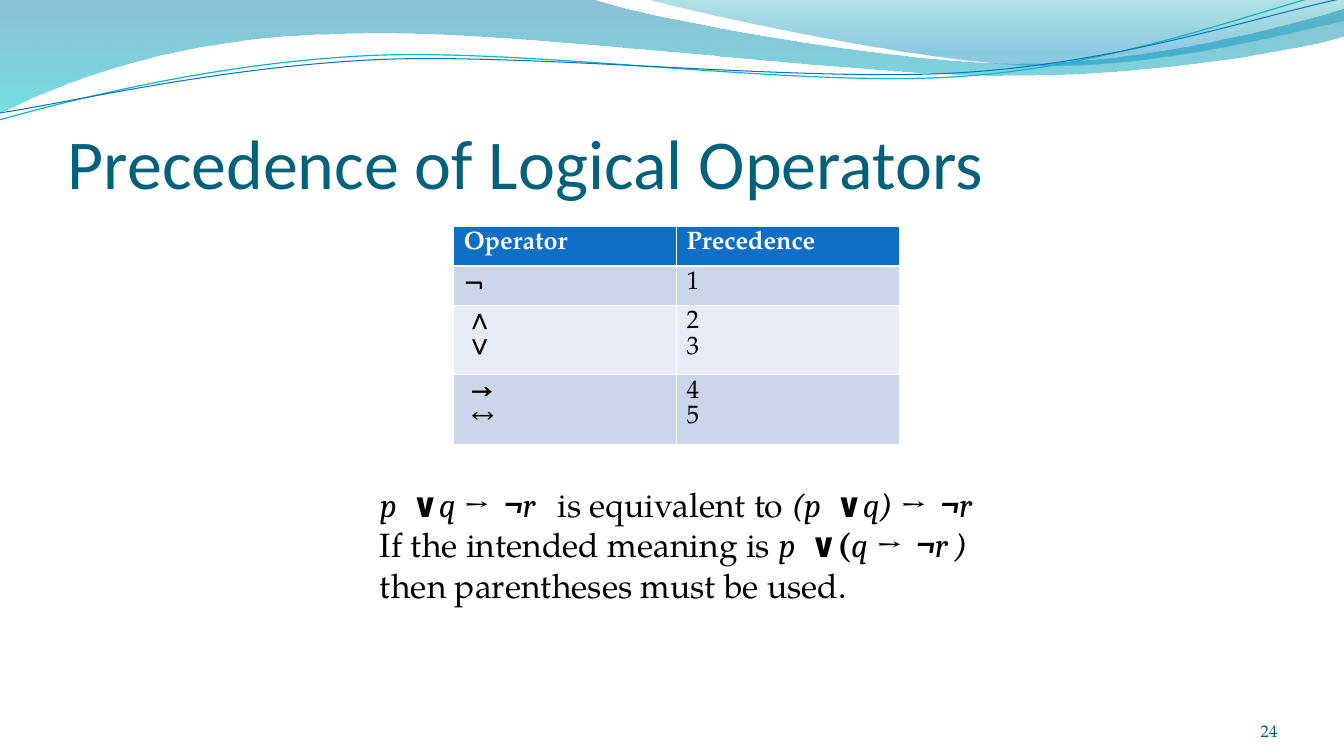
"""Build the slide on precedence of logical operators."""
from pptx import Presentation
from pptx.dml.color import RGBColor
from pptx.enum.text import MSO_ANCHOR, MSO_AUTO_SIZE, PP_ALIGN
from pptx.oxml.ns import qn
from pptx.util import Inches, Pt
from lxml import etree

BOTTOM = MSO_ANCHOR.BOTTOM
LEFT, RIGHT = PP_ALIGN.LEFT, PP_ALIGN.RIGHT
FIXED = MSO_AUTO_SIZE.NONE
SERIF, MATH, SANS = "TeX Gyre Pagella", "Cambria", "Calibri"
COLORS = {
    "title": "04617B", "number": "045D75", "text": "000000", "white": "FFFFFF",
    "head": "0F6FC6", "dark": "CCD5EA", "light": "E7EBF5",
    "teal": "0AB8BF", "blue": "0F6FC6",
    "sea": "0074A1", "aqua": "00C6CF", "green": "00A1A9", "sky": "008BBF",
}


def style(para, name, size, color):
    """Set the font of a paragraph."""
    font = para.font
    font.name, font.size = name, Pt(size)
    font.color.rgb = RGBColor.from_string(COLORS[color])


def wave(start, steps, closed):
    """Draw a shape from steps of one point (line) or three (cubic curve)."""
    form = slide.shapes.build_freeform(Inches(start[0]), Inches(start[1]))
    form.add_line_segments([(Inches(x), Inches(y)) for *_, (x, y) in steps], close=closed)
    shape = form.convert_to_shape()
    shape.shadow.inherit = False
    for node, step in zip(list(shape._element.spPr.iter(qn("a:lnTo"))), steps):
        if len(step) == 3:
            node.tag = qn("a:cubicBezTo")
            for n, (x, y) in enumerate(step[:2]):
                point = etree.Element(qn("a:pt"))
                point.set("x", str(Inches(x) - shape.left))
                point.set("y", str(Inches(y) - shape.top))
                node.insert(n, point)
    return shape


prs = Presentation()
prs.slide_width, prs.slide_height = Inches(13.33), Inches(7.5)
slide = prs.slides.add_slide(prs.slide_layouts[5])

bands = [
    ((0, 0),
     [[(5.87, -0.01)],
      [(6.34, 0.17), (8.85, 0.63), (10.11, 0.63)],
      [(11.38, 0.63), (12.78, 0.26), (13.33, 0.09)],
      [(13.35, 0.36)],
      [(13.11, 0.44), (11.6, 0.76), (9.94, 0.75)],
      [(8.29, 0.75), (5.09, 0.28), (3.43, 0.34)],
      [(1.72, 0.36), (0.61, 0.83), (-0.01, 1.13)],
      [(0, 0)]],
     [("sea", 0, 45), ("aqua", 1, 55)]),
    ((6.39, -0.01),
     [[(6.79, 0.11), (9.09, 0.62), (10.25, 0.65)],
      [(11.41, 0.69), (12.82, 0.32), (13.33, 0.21)],
      [(13.33, 0)],
      [(6.39, -0.01)]],
     [("green", 0, 30), ("sky", 0.8, 45)]),
]
for start, steps, stops in bands:
    band = wave(start, steps, True)
    band.line.fill.background()
    band.fill.gradient()
    band.fill.gradient_angle = 270
    for stop, (color, place, alpha) in zip(band.fill.gradient_stops, stops):
        stop.color.rgb = RGBColor.from_string(COLORS[color])
        stop.position = place
    for tint, (color, place, alpha) in zip(band._element.spPr.iter(qn("a:srgbClr")), stops):
        etree.SubElement(tint, qn("a:alpha")).set("val", str(alpha * 1000))

lines = [
    ("teal", 0.85, (-0.01, 1.19),
     [[(0.64, 1.01), (2.11, 0.62), (3.69, 0.55)],
      [(5.27, 0.48), (7.9, 0.87), (9.5, 0.76)],
      [(11.1, 0.66), (12.52, 0.08), (13.31, -0.1)]]),
    ("blue", 0.75, (0, 1.12),
     [[(0.63, 1.03), (2.18, 0.66), (3.78, 0.59)],
      [(5.37, 0.53), (7.96, 0.82), (9.55, 0.72)],
      [(11.15, 0.62), (12.55, 0.14), (13.34, -0.02)]]),
]
for color, width, start, steps in lines:
    line = wave(start, steps, False)
    line.fill.background()
    line.line.color.rgb = RGBColor.from_string(COLORS[color])
    line.line.width = Pt(width)

title = slide.shapes.title
title.left, title.top = Inches(0.67), Inches(0.77)
title.width, title.height = Inches(12), Inches(1.25)
frame = title.text_frame
frame.text = "Precedence of Logical Operators"
frame.auto_size, frame.vertical_anchor = FIXED, BOTTOM
frame.margin_left = frame.margin_right = frame.margin_bottom = 0
frame.paragraphs[0].alignment = LEFT
style(frame.paragraphs[0], SANS, 50, "title")

rows = [
    (0.39, "head", "Operator", "Precedence"),
    (0.39, "dark", "¬", "1"),
    (0.69, "light", " ∧\n ∨", "2\n3"),
    (0.69, "dark", " →\n ↔", "4\n5"),
]
table = slide.shapes.add_table(4, 2, Inches(4.5), Inches(2.25), Inches(4.42), Inches(2.16)).table
for r, (height, fill, *texts) in enumerate(rows):
    table.rows[r].height = Inches(height)
    for c, text in enumerate(texts):
        cell = table.cell(r, c)
        cell.fill.solid()
        cell.fill.fore_color.rgb = RGBColor.from_string(COLORS[fill])
        cell.text = text
        for para in cell.text_frame.paragraphs:
            style(para, SERIF, 18, "text" if r else "white")
            para.font.bold = r == 0 or (c == 0 and "↔" not in para.text)

notes = [
    [("p  ", "i"), ("∨", "b"), ("q ", "i"), ("→  ¬", "bi"), ("r   ", "i"),
     ("is equivalent to ", ""), ("(p  ", "i"), ("∨", "b"), ("q)", "i"),
     (" →  ¬", "bi"), ("r", "i")],
    [("If the intended meaning is ", ""), ("p  ", "i"), ("∨(", "b"), ("q ", "i"),
     ("→  ¬", "bi"), ("r )", "i")],
    [("then parentheses must be used.", "")],
]
frame = slide.shapes.add_textbox(Inches(3.67), Inches(4.75), Inches(6.25), Inches(2.12)).text_frame
frame.word_wrap = True
for n, parts in enumerate(notes):
    para = frame.add_paragraph() if n else frame.paragraphs[0]
    style(para, SERIF, 24, "text")
    for text, look in parts:
        run = para.add_run()
        run.text = text
        if look:
            run.font.name = MATH
            run.font.bold, run.font.italic = "b" in look, "i" in look

frame = slide.shapes.add_textbox(Inches(11.56), Inches(6.95), Inches(1.11), Inches(0.4)).text_frame
frame.margin_left = frame.margin_right = frame.margin_top = frame.margin_bottom = 0
frame.word_wrap, frame.vertical_anchor = True, BOTTOM
frame.text = "24"
frame.paragraphs[0].alignment = RIGHT
style(frame.paragraphs[0], SERIF, 12, "number")

prs.save("out.pptx")
